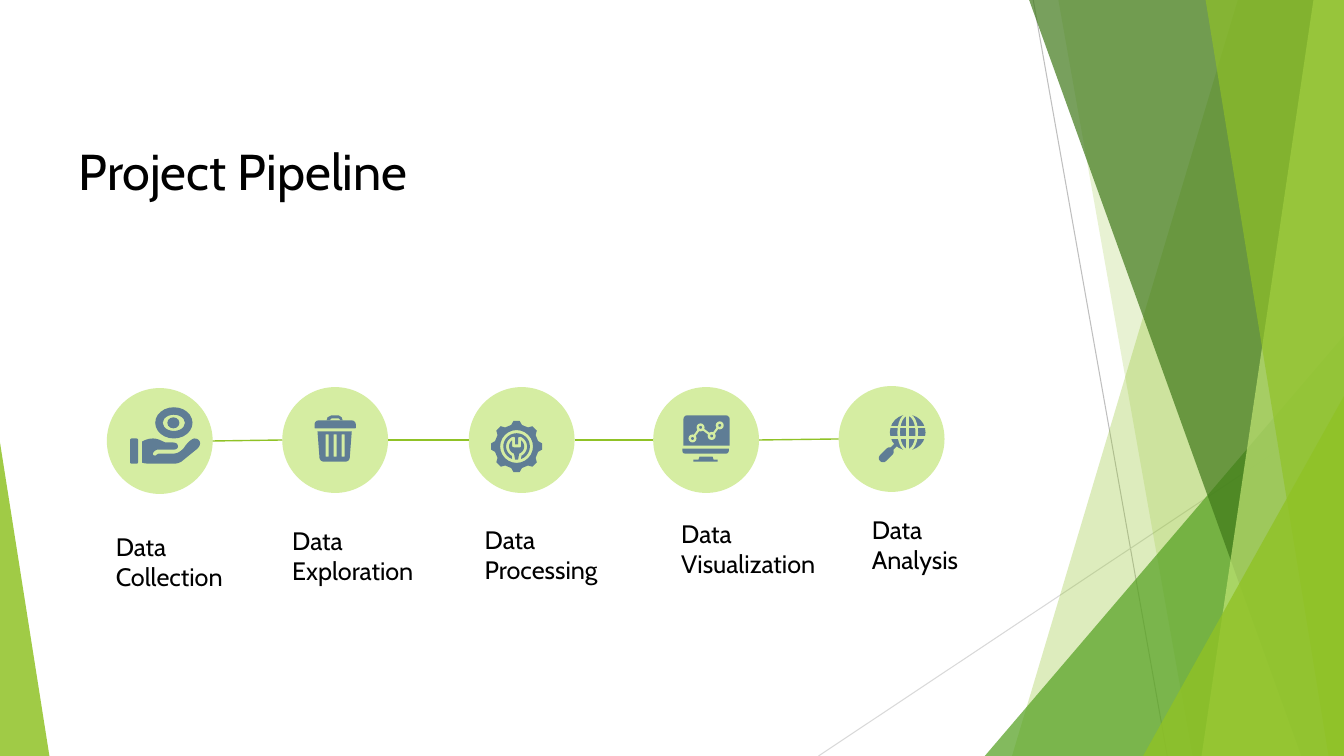
import math
from dataclasses import dataclass

import lxml.etree
import pptx
import pptx.dml.color
import pptx.enum.shapes
import pptx.enum.text
import pptx.oxml.ns
import pptx.util

MSO = pptx.enum.shapes.MSO_SHAPE
COLS, ROWS = 133.33, 75  # grid of square cells, a tenth of an inch each
FONT = "Cabin"
GREEN, PALE, SLATE = "90C226", "D5EDA2", "5F7D95"
DISC = 10.5

Point = tuple[float, float]


@dataclass
class Facet:
    """Band from the top edge to the bottom edge, filled out to the right edge."""
    top_col: float
    bottom_col: float
    color: str
    opacity: int


@dataclass
class Wedge:
    """Triangle standing on the bottom edge; tip is 0 for left, 1 for right."""
    left: float
    right: float
    top: float
    tip: int
    color: str
    opacity: int


@dataclass
class Stage:
    label: str
    disc_left: float
    disc_top: float
    label_left: float
    label_top: float
    label_width: float


DECOR = [
    Facet(122.8, 100.4, GREEN, 30),
    Facet(105, 118.3, GREEN, 20),
    Wedge(97.7, COLS, 33.3, 1, "54A021", 72),
    Facet(102.1, 129.1, "3F7819", 70),
    Facet(130.3, 119.2, "C0E474", 70),
    Facet(119.6, 131.8, GREEN, 65),
    Wedge(113.4, COLS, 39.3, 1, GREEN, 80),
    Wedge(0, 4.9, 43.9, 0, GREEN, 85),
]
STAGES = [
    Stage("Data\nCollection", 10.6, 38.5, 10.5, 52.2, 14.1),
    Stage("Data\nExploration", 28, 38.4, 28, 51.6, 14.8),
    Stage("Data\nProcessing", 46.5, 38.4, 47.1, 51.5, 14.1),
    Stage("Data\nVisualization", 64.8, 38.4, 66.6, 50.9, 16.6),
    Stage("Data\nAnalysis", 83.2, 38.3, 85.5, 50.5, 12.5),
]


def cells(n: float) -> int:
    return pptx.util.Inches(n / 10)


def rgb(color: str) -> pptx.dml.color.RGBColor:
    return pptx.dml.color.RGBColor.from_string(color)


def paint(sp, color: str, opacity: int = 100):
    sp.shadow.inherit = False
    sp.line.fill.background()
    sp.fill.solid()
    sp.fill.fore_color.rgb = rgb(color)
    if opacity < 100:
        qn = pptx.oxml.ns.qn
        clr = sp.element.spPr.find(qn("a:solidFill")).find(qn("a:srgbClr"))
        lxml.etree.SubElement(clr, qn("a:alpha"), val=str(opacity * 1000))
    return sp


def preset(s, kind, left: float, top: float, width: float, height: float,
           color: str = SLATE, opacity: int = 100, adjust: tuple = ()):
    sp = s.shapes.add_shape(kind, *map(cells, (left, top, width, height)))
    for i, value in enumerate(adjust):
        sp.adjustments[i] = value
    return paint(sp, color, opacity)


def outline(s, *contours: list[Point], color: str = SLATE, opacity: int = 100):
    """Closed freeform; every contour after the first cuts a hole."""
    points = [[(cells(x), cells(y)) for x, y in c] for c in contours]
    fb = s.shapes.build_freeform(*points[0][0])
    for i, c in enumerate(points):
        if i:
            fb.move_to(*c[0])
        fb.add_line_segments(c[1:], close=True)
    return paint(fb.convert_to_shape(), color, opacity)


def line(s, start: Point, end: Point, color: str, weight: float):
    cn = s.shapes.add_connector(pptx.enum.shapes.MSO_CONNECTOR.STRAIGHT,
                                *map(cells, (*start, *end)))
    cn.line.color.rgb = rgb(color)
    cn.line.width = pptx.util.Pt(weight)
    lxml.etree.SubElement(cn.element.spPr, pptx.oxml.ns.qn("a:effectLst"))


def write(sp, text: str, *, size: float, indent: float = 1, color: str = "000000"):
    tf = sp.text_frame
    tf.word_wrap = True
    tf.auto_size = pptx.enum.text.MSO_AUTO_SIZE.NONE
    tf.vertical_anchor = pptx.enum.text.MSO_ANCHOR.TOP
    tf.margin_left = cells(indent)
    p = tf.paragraphs[0]
    p.alignment = pptx.enum.text.PP_ALIGN.LEFT
    for i, part in enumerate(text.split("\n")):
        if i:
            p.add_line_break()
        r = p.add_run()
        r.text = part
        r.font.name, r.font.size = FONT, pptx.util.Pt(size)
        r.font.color.rgb = rgb(color)


def arc(center: Point, radius: float, start: float, end: float, steps: int = 24) -> list[Point]:
    angles = [math.radians(start + (end - start) * i / steps) for i in range(steps + 1)]
    return [(center[0] + radius * math.cos(a), center[1] + radius * math.sin(a)) for a in angles]


def curve(*pts: Point, steps: int = 8) -> list[Point]:
    """Cubic curve through its first and last points."""
    weights = [((1 - t) ** 3, 3 * t * (1 - t) ** 2, 3 * t * t * (1 - t), t ** 3)
               for t in (i / steps for i in range(steps + 1))]
    return [tuple(sum(k * pt[axis] for k, pt in zip(w, pts)) for axis in (0, 1)) for w in weights]


def box(left: float, top: float, width: float, height: float) -> list[Point]:
    right, bottom = left + width, top + height
    return [(left, top), (right, top), (right, bottom), (left, bottom)]


def draw_hand(s):
    preset(s, MSO.DONUT, 15.4, 40.4, 3.7, 3.1, adjust=(0.24,))
    preset(s, MSO.OVAL, 16.6, 41.4, 1.2, 1.1)
    preset(s, MSO.ROUNDED_RECTANGLE, 12.9, 43.5, 0.8, 2.5, adjust=(0.2,))
    outline(s, [
        *curve((14.1, 43.8), (14.5, 43.6), (14.8, 43.5), (15.2, 43.5)),
        *curve((15.2, 43.5), (15.6, 43.5), (16, 43.7), (16.4, 43.9)),
        *curve((17.2, 43.9), (17.8, 43.9), (17.8, 44.6), (17.3, 44.6)),
        *curve((15.7, 44.6), (15.3, 44.6), (14.9, 45.2), (15.4, 45.2)),
        *curve((15.4, 45.2), (15.5, 45.2), (15.6, 45), (15.8, 45)),
        *curve((17.2, 45), (17.6, 45), (17.9, 44.8), (18.2, 44.5)),
        *curve((18.2, 44.5), (18.8, 43.6), (19.2, 43.5), (19.3, 43.5)),
        *curve((19.3, 43.5), (19.8, 43.5), (20.1, 44), (19.6, 44.5)),
        *curve((18, 45.8), (17.8, 45.9), (17.6, 46), (17.3, 46)),
        *curve((14.9, 46), (14.7, 46), (14.4, 46), (14.1, 45.9)),
    ])


def draw_bin(s):
    outline(s, [(32.4, 41.7), (32.5, 41.4), (32.9, 41.2), (33.6, 41.2), (33.9, 41.4), (34, 41.7)],
            [(32.7, 41.7), (32.9, 41.5), (33.6, 41.5), (33.8, 41.7)])
    preset(s, MSO.ROUND_2_SAME_RECTANGLE, 31.2, 41.7, 4.1, 0.8, adjust=(0.5, 0.1))
    slots = [box(32.3 + 0.8 * i, 43.1, 0.3, 2.2) for i in range(3)]
    outline(s, [(31.5, 42.8), (34.9, 42.8), *curve((34.7, 45.4), (34.7, 45.6), (34.5, 45.8), (34.3, 45.8)),
                *curve((32.1, 45.8), (31.9, 45.8), (31.7, 45.6), (31.7, 45.4))], *slots)


def draw_gear(s):
    c = (51.25, 44.3)
    teeth = [pt for k in range(8) for r, a in ((2.2, -14), (2.55, -7), (2.55, 7), (2.2, 14))
             for pt in arc(c, r, 45 * k + a, 45 * k + a, 1)[:1]]
    outline(s, teeth, arc(c, 1.63, 0, 360))
    outline(s, [*arc(c, 1.32, 110, 430), *arc(c, 1.04, 423, 290), (51.4, 43.4), (51.4, 44.1),
                (51.1, 44.1), (51.1, 43.4), *arc(c, 1.04, 250, 117)])
    outline(s, [*arc(c, 0.75, 233, 110), (51.1, 45.6), (51.4, 45.6), *arc(c, 0.75, 70, -53),
                (51.7, 44.3), (51.6, 44.4), (51, 44.4), (50.8, 44.3)])


def draw_monitor(s):
    preset(s, MSO.ROUND_2_SAME_RECTANGLE, 67.8, 41.2, 4.6, 3, adjust=(0.13, 0))
    preset(s, MSO.ROUND_2_SAME_RECTANGLE, 67.7, 44.5, 4.6, 0.5, adjust=(0, 0.5))
    outline(s, [(69.4, 45.3), (70.7, 45.3), (70.8, 45.6), (71.2, 45.6), (71.2, 45.8),
                (68.8, 45.8), (68.8, 45.6), (69.3, 45.6)])
    nodes = [(68.7, 43.5), (69.5, 42.4), (70.6, 43.25), (71.4, 42.2)]
    for a, b in zip(nodes, nodes[1:]):
        line(s, a, b, PALE, 1.5)
    for x, y in nodes:
        for r, color in ((0.4, PALE), (0.14, SLATE)):
            preset(s, MSO.OVAL, x - r, y - r, 2 * r, 2 * r, color)


def draw_globe(s):
    x, y, r = 90.05, 42.9, 1.77
    preset(s, MSO.OVAL, x - r, y - r, 2 * r, 2 * r)
    meridian = preset(s, MSO.OVAL, x - 0.9, y - r, 1.8, 2 * r)
    meridian.line.color.rgb, meridian.line.width = rgb(PALE), pptx.util.Pt(1.8)
    for dy in (-0.52, 0.52):
        line(s, (x - r, y + dy), (x + r, y + dy), PALE, 1.8)
    line(s, (x, y - r), (x, y + r), PALE, 1.8)
    line(s, (88.3, 44.7), (88.9, 44.1), SLATE, 2.5)
    preset(s, MSO.ROUNDED_RECTANGLE, 87.05, 44.7, 1.75, 0.85, adjust=(0.5,)).rotation = -45


def draw_decor(s):
    line(s, (102.5, 0), (115.8, ROWS), "BFBFBF", 0.75)
    line(s, (COLS, 40.3), (81.2, ROWS), "D9D9D9", 0.75)
    for d in DECOR:
        if isinstance(d, Wedge):
            preset(s, MSO.ISOSCELES_TRIANGLE, d.left, d.top, d.right - d.left, ROWS - d.top,
                   d.color, d.opacity, (d.tip,))
        else:
            outline(s, [(d.top_col, 0), (COLS, 0), (COLS, ROWS), (d.bottom_col, ROWS)],
                    color=d.color, opacity=d.opacity)


def main():
    prs = pptx.Presentation()
    prs.slide_width, prs.slide_height = cells(COLS), cells(ROWS)
    s = prs.slides.add_slide(prs.slide_layouts[5])
    draw_decor(s)
    title = s.shapes.title
    title.left, title.top, title.width, title.height = map(cells, (4.8, 13.4, 94, 14.4))
    write(title, "Project Pipeline", size=36, indent=3)
    for st, draw_icon in zip(STAGES, (draw_hand, draw_bin, draw_gear, draw_monitor, draw_globe)):
        preset(s, MSO.OVAL, st.disc_left, st.disc_top, DISC, DISC, PALE)
        draw_icon(s)
        tb = s.shapes.add_textbox(*map(cells, (st.label_left, st.label_top, st.label_width, 7.1)))
        write(tb, st.label, size=18)
    for a, b in zip(STAGES, STAGES[1:]):
        line(s, (a.disc_left + DISC, a.disc_top + DISC / 2), (b.disc_left, b.disc_top + DISC / 2), GREEN, 1)
    prs.save("out.pptx")


if __name__ == "__main__":
    main()
